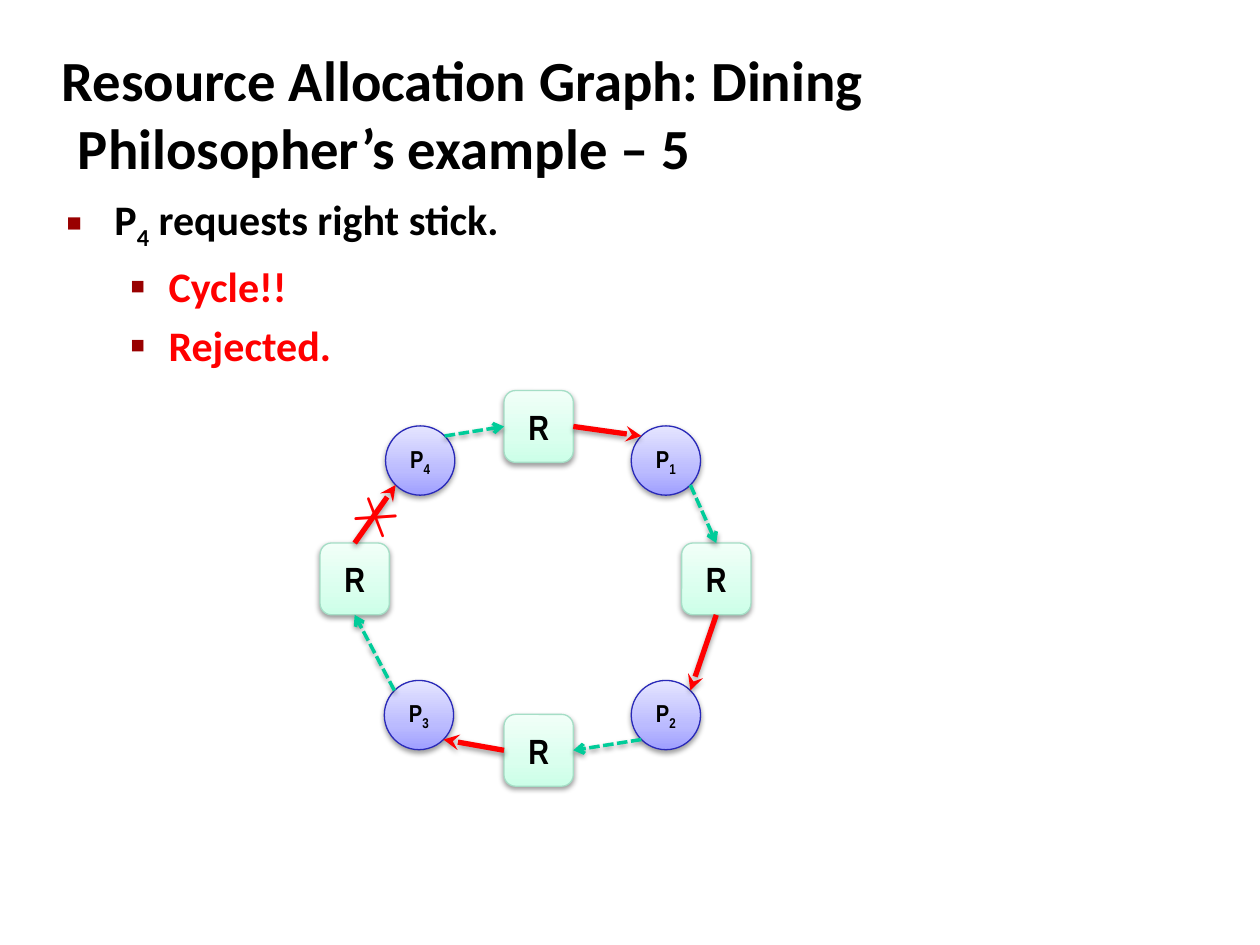
from copy import deepcopy
from math import hypot

from lxml.etree import SubElement
from pptx import Presentation
from pptx.dml.color import RGBColor
from pptx.enum.dml import MSO_LINE
from pptx.enum.shapes import MSO_CONNECTOR, MSO_SHAPE
from pptx.enum.text import MSO_ANCHOR, PP_ALIGN
from pptx.oxml.ns import qn
from pptx.util import Inches, Pt

BLACK = RGBColor(0x00, 0x00, 0x00)
RED = RGBColor(0xFF, 0x00, 0x00)
TEAL = RGBColor(0x00, 0xCC, 0x99)
BULLET_RED = RGBColor(0x99, 0x00, 0x00)
RESOURCE_LINE = RGBColor(0xA5, 0xDE, 0xC6)
PROCESS_LINE = RGBColor(0x29, 0x29, 0xB8)
RESOURCE_FILL = [(0, RGBColor(0xCC, 0xFF, 0xE8)),
                 (0.35, RGBColor(0xDA, 0xFF, 0xEE)),
                 (1, RGBColor(0xF1, 0xFF, 0xF8))]
PROCESS_FILL = [(0, RGBColor(0x9F, 0x9F, 0xFF)),
                (0.35, RGBColor(0xBB, 0xBB, 0xFF)),
                (1, RGBColor(0xE5, 0xE5, 0xFF))]

RESOURCE_SIZE = (0.55, 0.57)
PROCESS_SIZE = (0.55, 0.55)

# Clockwise round the ring: process number (None for a resource),
# left and top within the ring, direction in which the edge leaves.
# The incoming edge always meets the opposite side.
RING = [
    (None, 1.46, 0, (1, 0)),
    (1, 2.47, 0.28, (1, 1)),
    (None, 2.87, 1.21, (0, 1)),
    (2, 2.47, 2.3, (-1, 1)),
    (None, 1.46, 2.57, (-1, 0)),
    (3, 0.51, 2.3, (-1, -1)),
    (None, 0, 1.21, (0, -1)),
    (4, 0.52, 0.28, (1, -1)),
]


def style_font(font, name, size, color, bold=True):
    font.name, font.size, font.bold = name, Pt(size), bold
    font.color.rgb = color


def add_process_name(paragraph, number):
    paragraph.add_run().text = "P"
    subscript = paragraph.add_run()
    subscript.text = str(number)
    subscript.font._element.set("baseline", "-25000")


def add_soft_shadow(shape):
    effects = SubElement(shape._element.spPr, qn("a:effectLst"))
    shadow = SubElement(effects, qn("a:outerShdw"), blurRad=str(Pt(3.1)),
                        dist=str(Pt(1.6)), dir="5400000", rotWithShape="0")
    black = SubElement(shadow, qn("a:srgbClr"), val=str(BLACK))
    SubElement(black, qn("a:alpha"), val="38000")


def fill_gradient(fill, stops):
    """Fill upwards, from the first colour to the last."""
    fill.gradient()
    fill.gradient_angle = 90
    first = fill.gradient_stops[0]._gs
    first.addnext(deepcopy(first))
    for stop, (position, color) in zip(fill.gradient_stops, stops):
        stop.position = position
        stop.color.rgb = color


def add_bullet(paragraph, char, percent, margin, indent):
    properties = paragraph._p.get_or_add_pPr()
    properties.set("marL", str(Inches(margin)))
    properties.set("indent", str(Inches(-indent)))
    color = SubElement(properties, qn("a:buClr"))
    SubElement(color, qn("a:srgbClr"), val=str(BULLET_RED))
    SubElement(properties, qn("a:buSzPct"), val=str(percent * 1000))
    SubElement(properties, qn("a:buFont"), typeface="Arial")
    SubElement(properties, qn("a:buChar"), char=char)


def add_text_frame(slide, left, top, width, height):
    box = slide.shapes.add_textbox(Inches(left), Inches(top), Inches(width), Inches(height))
    box.text_frame.word_wrap = True
    return box.text_frame


def add_title(slide, left, top, width, height):
    frame = add_text_frame(slide, left, top, width, height)
    frame.vertical_anchor = MSO_ANCHOR.MIDDLE
    title = frame.paragraphs[0]
    title.text = "Resource Allocation Graph: Dining Philosopher’s example – 5"
    properties = title._p.get_or_add_pPr()
    properties.set("marL", str(Inches(0.13)))
    properties.set("indent", str(Inches(-0.13)))
    style_font(title.font, "Calibri", 32.4, BLACK)


def add_outcome(slide, left, top, width, height):
    frame = add_text_frame(slide, left, top, width, height)
    request = frame.paragraphs[0]
    add_process_name(request, 4)
    request.add_run().text = " requests right stick."
    add_bullet(request, "■", 60, 0.38, 0.38)
    style_font(request.font, "Calibri", 24, BLACK)
    for text in ("Cycle!!", "Rejected."):
        result = frame.add_paragraph()
        result.text = text
        result.level = 1
        add_bullet(result, "▪", 110, 0.81, 0.31)
        style_font(result.font, "Calibri", 24, RED)
    for paragraph in frame.paragraphs:
        paragraph.space_before = Pt(5)


def add_node(slide, number, left, top):
    is_resource = number is None
    width, height = RESOURCE_SIZE if is_resource else PROCESS_SIZE
    node = slide.shapes.add_shape(
        MSO_SHAPE.ROUNDED_RECTANGLE if is_resource else MSO_SHAPE.OVAL,
        Inches(left), Inches(top), Inches(width), Inches(height))
    fill_gradient(node.fill, RESOURCE_FILL if is_resource else PROCESS_FILL)
    node.line.color.rgb = RESOURCE_LINE if is_resource else PROCESS_LINE
    node.line.width = Pt(0.75)
    add_soft_shadow(node)
    node.text_frame.word_wrap = False
    node.text_frame.vertical_anchor = MSO_ANCHOR.MIDDLE
    label = node.text_frame.paragraphs[0]
    label.alignment = PP_ALIGN.CENTER
    if is_resource:
        label.text = "R"
    else:
        add_process_name(label, number)
    style_font(label.font, "Arial Narrow", 20 if is_resource else 14, BLACK)


def edge_point(node, side):
    """Point on a ring node's outline; side is 1 where edges leave, -1 where they arrive."""
    number, left, top, (dx, dy) = node
    width, height = RESOURCE_SIZE if number is None else PROCESS_SIZE
    reach = side / hypot(dx, dy)
    return left + width / 2 * (1 + dx * reach), top + height / 2 * (1 + dy * reach)


def add_edge(slide, start, end, assigned):
    """Solid red for an assigned stick, dashed teal for a request."""
    edge = slide.shapes.add_connector(MSO_CONNECTOR.STRAIGHT,
                                      *(Inches(value) for value in (*start, *end)))
    edge.line.color.rgb = RED if assigned else TEAL
    edge.line.width = Pt(3 if assigned else 2)
    if not assigned:
        edge.line.dash_style = MSO_LINE.SQUARE_DOT
    SubElement(edge.line._get_or_add_ln(), qn("a:tailEnd"),
               type="stealth" if assigned else "arrow")
    add_soft_shadow(edge)


def add_rejection_mark(slide, left, top):
    mark = slide.shapes.add_textbox(Inches(left), Inches(top), Inches(0.44), Inches(0.57))
    mark.rotation = 302.5
    mark.text_frame.word_wrap = False
    cross = mark.text_frame.paragraphs[0]
    cross.text = "X"
    style_font(cross.font, "Quicksand", 28, RED, bold=False)


def add_allocation_ring(slide, left, top):
    nodes = [(number, left + x, top + y, exit_side) for number, x, y, exit_side in RING]
    for number, x, y, _ in nodes:
        add_node(slide, number, x, y)
    for node, following in zip(nodes, nodes[1:] + nodes[:1]):
        add_edge(slide, edge_point(node, 1), edge_point(following, -1),
                 assigned=node[0] is None)
    add_rejection_mark(slide, left + 0.21, top + 0.71)


def main():
    presentation = Presentation()
    presentation.slide_width = Inches(10)
    presentation.slide_height = Inches(7.5)
    slide = presentation.slides.add_slide(presentation.slide_layouts[6])
    add_title(slide, 0.39, 0.48, 8.3, 0.83)
    add_outcome(slide, 0.43, 1.49, 8.64, 5.44)
    add_allocation_ring(slide, 2.54, 3.1)
    presentation.save("out.pptx")


if __name__ == "__main__":
    main()
